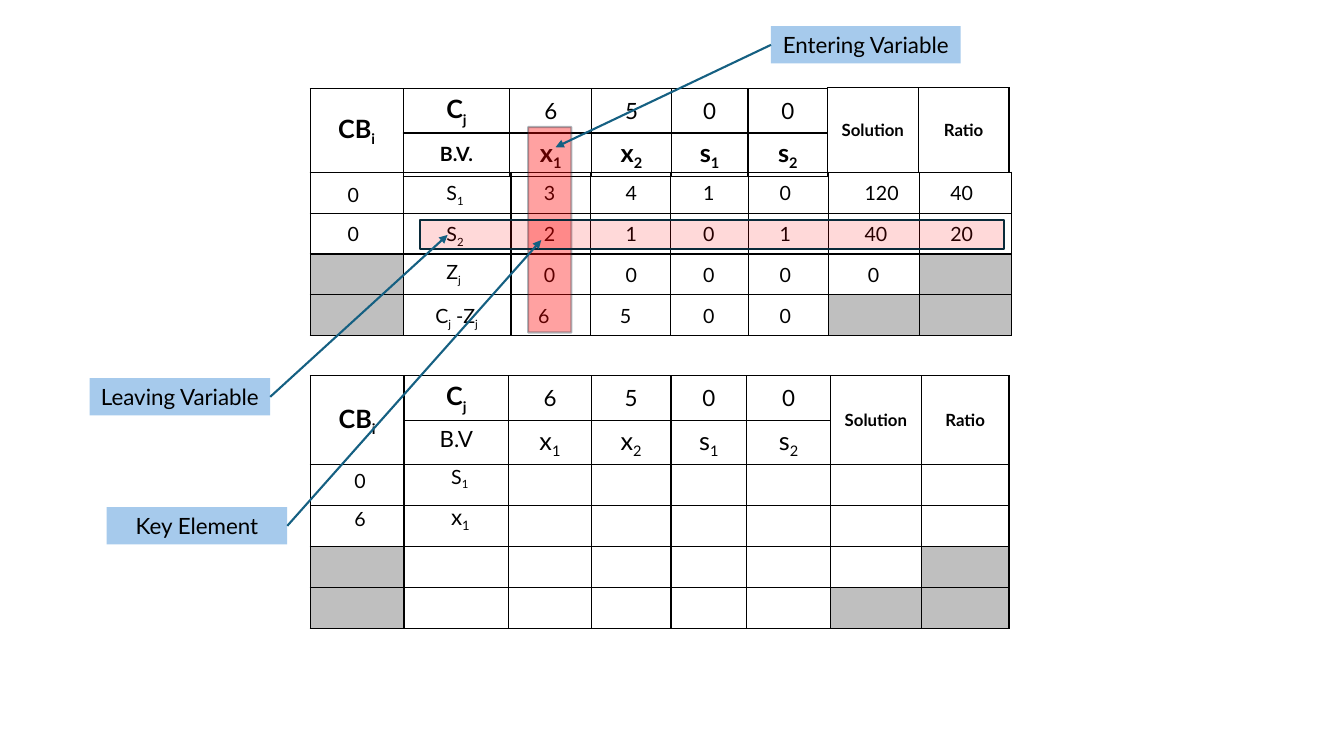
from dataclasses import dataclass, field
from lxml.etree import SubElement
from pptx import Presentation
from pptx.dml.color import RGBColor
from pptx.enum.shapes import MSO_CONNECTOR, MSO_SHAPE
from pptx.enum.text import MSO_ANCHOR, MSO_AUTO_SIZE, PP_ALIGN
from pptx.oxml.ns import qn
from pptx.util import Cm, Pt


@dataclass(frozen=True)
class Theme:
    font: str = "Lato"
    ink: str = "000000"
    shade: str = "BFBFBF"
    callout: str = "A6CAEC"
    arrow: str = "156082"
    highlight: str = "FF0000"
    outline: str = "092A39"
    styles: dict = field(default_factory=lambda: {
        "symbol": {"size": Pt(18), "bold": True},
        "variable": {"size": Pt(18), "bold": False},
        "cost": {"size": Pt(16), "bold": False},
        "basis": {"size": Pt(14), "bold": True},
        "caption": {"size": Pt(12), "bold": True},
        "entry": {"size": Pt(14), "bold": False},
    })


THEME = Theme()
LEFT = 7.82
ROW = 1.03
SHADED = [(2, 0), (2, 7), (3, 0), (3, 6), (3, 7)]
VARIABLES = ["x_1", "x_2", "s_1", "s_2"]
COSTS = [(cost, "cost") for cost in "6500"]
CAPTIONS = [("Solution", "caption"), ("Ratio", "caption")]
TEXT_WIDTHS = {1: 0.94, 2: 1.24, 3: 1.63}


def rgb(color):
    return RGBColor.from_string(color)


def write(frame, content, align=None):
    text, style = content if isinstance(content, tuple) else (content, "entry")
    paragraph = frame.paragraphs[0]
    paragraph.alignment = align
    first, *marked = text.split("_")
    pieces = [(first, False)]
    for part in marked:
        pieces += [(part[0], True), (part[1:], False)]
    for piece, lowered in pieces:
        if not piece:
            continue
        run = paragraph.add_run()
        run.text = piece
        for name, value in {"name": THEME.font, **THEME.styles[style]}.items():
            setattr(run.font, name, value)
        run.font.color.rgb = rgb(THEME.ink)
        if lowered:
            run.font._element.set("baseline", "-25000")


def add_borders(cell):
    properties = cell._tc.get_or_add_tcPr()
    for index, side in enumerate(("lnL", "lnR", "lnT", "lnB")):
        border = SubElement(properties, qn(f"a:{side}"), w=str(Pt(1)))
        solid = SubElement(border, qn("a:solidFill"))
        SubElement(solid, qn("a:srgbClr"), val=THEME.ink)
        properties.insert(index, border)


def add_grid(slide, left, top, columns, heights, rows=(), shaded=()):
    grid = slide.shapes.add_table(len(heights), len(columns), Cm(left), Cm(top),
                                  Cm(sum(columns)), Cm(sum(heights))).table
    grid.first_row = grid.horz_banding = False
    for column, width in zip(grid.columns, columns):
        column.width = Cm(width)
    for r, height in enumerate(heights):
        grid.rows[r].height = Cm(height)
        for c in range(len(columns)):
            cell = grid.cell(r, c)
            if (r, c) in shaded:
                cell.fill.solid()
                cell.fill.fore_color.rgb = rgb(THEME.shade)
            else:
                cell.fill.background()
            add_borders(cell)
            if r < len(rows) and rows[r][c]:
                cell.vertical_anchor = MSO_ANCHOR.MIDDLE
                write(cell.text_frame, rows[r][c], PP_ALIGN.CENTER)
    return grid


def add_entries(slide, left, top, offsets, step, rows, nudges):
    for r, row in enumerate(rows):
        for c, content in enumerate(row):
            if not content:
                continue
            text = content[0] if isinstance(content, tuple) else content
            dx, dy = nudges.get((r, c), (0, 0))
            width = TEXT_WIDTHS.get(len(text.replace("_", "")), 1.65)
            entry = slide.shapes.add_textbox(Cm(left + offsets[c] + dx), Cm(top + r * step + dy),
                                             Cm(width), Cm(0.86))
            entry.text_frame.word_wrap = True
            entry.text_frame.auto_size = MSO_AUTO_SIZE.SHAPE_TO_FIT_TEXT
            write(entry.text_frame, content)


def build_first_tableau(slide, left, top):
    variable_columns = [2.69, 2.06, 2.01, 1.93, 2.01]
    names = [("B.V.", "basis")] + [(name, "symbol") for name in VARIABLES]
    add_grid(slide, left + 2.34, top + 1.09, variable_columns, [1.04], [names])
    add_grid(slide, left + 2.34, top, variable_columns, [1.04], [[("C_j", "symbol")] + COSTS])
    add_grid(slide, left, top, [2.34], [2.11], [[("CB_i", "symbol")]])
    add_grid(slide, left + 13.03, top - 0.03, [2.29, 2.29], [2.13], [CAPTIONS])
    body_top = top + 2.1
    add_grid(slide, left, body_top, [2.34, 2.72, 2.01, 2.01, 1.96, 2.03, 2.29, 2.31],
             [ROW] * 4, shaded=SHADED)
    rows = [
        ["0", "S_1", "3", "4", "1", "0", "120", "40"],
        ["0", "S_2", "2", "1", "0", "1", "40", "20"],
        ["", "Z_j", "0", "0", "0", "0", "0", ""],
        ["", "C_j -Z_j", "6", "5", "0", "0", "", ""],
    ]
    add_entries(slide, left, body_top + 0.1,
                [0.69, 3.18, 5.64, 7.7, 9.65, 11.58, 13.72, 15.88], ROW, rows,
                {(0, 0): (0, 0.05), (2, 1): (0, -0.07), (2, 6): (0.08, 0),
                 (3, 1): (-0.28, 0), (3, 2): (-0.15, 0), (3, 3): (-0.15, 0)})


def build_second_tableau(slide, left, top):
    rows = [
        [("CB_i", "symbol"), ("C_j", "symbol")] + COSTS + CAPTIONS,
        ["", ("B.V", "cost")] + [(name, "variable") for name in VARIABLES] + ["", ""],
    ]
    grid = add_grid(slide, left, top, [2.36, 2.64, 2.08, 2.01, 1.91, 2.11, 2.29, 2.21],
                    [ROW] * 6, rows, [(r + 2, c) for r, c in SHADED])
    for column in (0, 6, 7):
        grid.cell(0, column).merge(grid.cell(1, column))
    grid.cell(1, 1).vertical_anchor = MSO_ANCHOR.TOP
    add_entries(slide, left, top + 2.11, [0.86, 3.3], 0.97,
                [["0", "S_1"], ["6", ("x_1", "cost")]], {(0, 0): (0, 0.1), (1, 0): (0, 0.1)})


def add_box(slide, box, color):
    shape = slide.shapes.add_shape(MSO_SHAPE.RECTANGLE, *map(Cm, box))
    shape.shadow.inherit = False
    shape.fill.solid()
    shape.fill.fore_color.rgb = rgb(color)
    return shape


def set_opacity(fill_parent, percent):
    color = fill_parent.find(qn("a:solidFill")).find(qn("a:srgbClr"))
    SubElement(color, qn("a:alpha"), val=str(percent * 1000))


def build_highlight(slide, box, opacity, line_opacity):
    highlight = add_box(slide, box, THEME.highlight)
    highlight.line.color.rgb = rgb(THEME.outline)
    highlight.line.width = Pt(1.5)
    properties = highlight._element.spPr
    set_opacity(properties, opacity)
    set_opacity(properties.find(qn("a:ln")), line_opacity)


def build_callout(slide, box, text, side, target):
    callout = add_box(slide, box, THEME.callout)
    callout.line.fill.background()
    callout.text_frame.word_wrap = True
    callout.text_frame.auto_size = MSO_AUTO_SIZE.SHAPE_TO_FIT_TEXT
    write(callout.text_frame, (text, "cost"), PP_ALIGN.CENTER)
    end_x, end_y = map(Cm, target)
    arrow = slide.shapes.add_connector(MSO_CONNECTOR.STRAIGHT, 0, 0, end_x, end_y)
    arrow.begin_connect(callout, side)
    arrow.line.color.rgb = rgb(THEME.arrow)
    arrow.line.width = Pt(1.5)
    SubElement(arrow.line._get_or_add_ln(), qn("a:tailEnd"), type="triangle")
    SubElement(arrow._element.spPr, qn("a:effectLst"))


def main():
    deck = Presentation()
    deck.slide_width, deck.slide_height = Cm(33.87), Cm(19.05)
    slide = deck.slides.add_slide(deck.slide_layouts[6])
    build_first_tableau(slide, LEFT, 2.24)
    build_highlight(slide, (13.31, 3.2, 1.09, 5.18), 37, 32)
    build_highlight(slide, (10.59, 5.54, 14.71, 0.74), 15, 100)
    build_second_tableau(slide, LEFT, 9.47)
    build_callout(slide, (2.26, 9.53, 4.55, 0.94), "Leaving Variable", 3, (11.28, 5.92))
    build_callout(slide, (19.43, 0.66, 4.78, 0.94), "Entering Variable", 1, (14, 3.71))
    build_callout(slide, (2.69, 12.78, 4.55, 0.94), "Key Element", 3, (13.64, 6.05))
    deck.save("out.pptx")


if __name__ == "__main__":
    main()
